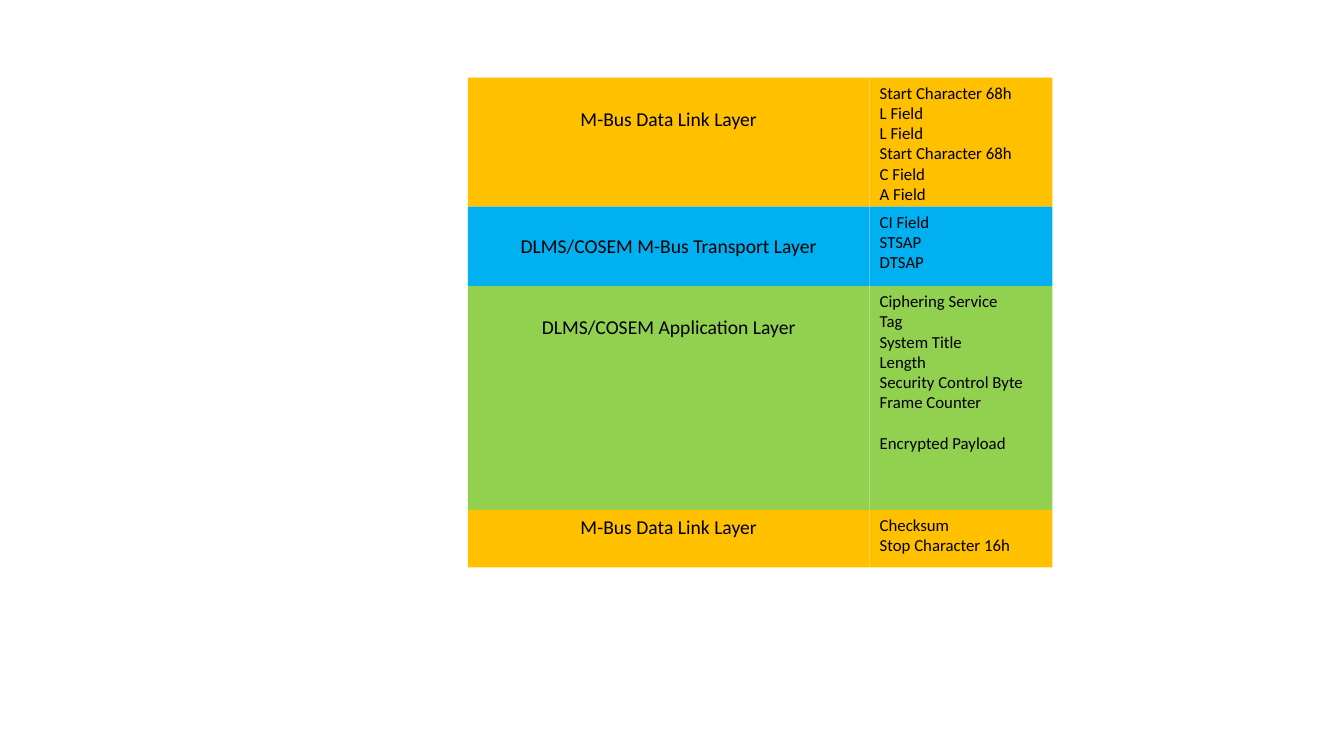
from pptx import Presentation
from pptx.dml.color import RGBColor
from pptx.enum.shapes import MSO_SHAPE
from pptx.enum.text import MSO_ANCHOR, PP_ALIGN
from pptx.util import Cm, Pt

RECT = MSO_SHAPE.RECTANGLE
TOP = MSO_ANCHOR.TOP
LEFT, CENTER = PP_ALIGN.LEFT, PP_ALIGN.CENTER

COLORS = {
    "link": "FFC000",
    "transport": "00B0F0",
    "application": "92D050",
    "text": "000000",
}

# Column positions and widths, in cm
LAYER_X, LAYER_W = 11.79, 10.13
FIELD_X, FIELD_W = LAYER_X + LAYER_W, 4.6
FRAME_TOP = 1.96
PAD, LINE_H = 0.25, 0.51
GAP = 14.6  # one empty 12 pt line, in points

# Colour, layer name, height (cm), text inset (cm), field box width (cm),
# groups of fields
LAYERS = [
    ("link", "M-Bus Data Link Layer", 3.25, 0.73, 4.19,
     [["Start Character 68h", "L Field", "L Field",
       "Start Character 68h", "C Field", "A Field"]]),
    ("transport", "DLMS/COSEM M-Bus Transport Layer", 2.0, 0.68, 3.45,
     [["CI Field", "STSAP", "DTSAP"]]),
    ("application", "DLMS/COSEM Application Layer", 5.64, 0.73, 4.19,
     [["Ciphering Service", "Tag", "System Title", "Length",
       "Security Control Byte", "Frame Counter"],
      ["Encrypted Payload"]]),
    ("link", "M-Bus Data Link Layer", 1.45, 0.13, 4.19,
     [["Checksum", "Stop Character 16h"]]),
]


class Deck:
    def __init__(self, font):
        self.font = font
        self.prs = Presentation()
        self.prs.slide_width, self.prs.slide_height = Cm(33.87), Cm(19.05)
        self.s = self.prs.slides.add_slide(self.prs.slide_layouts[6])

    def style(self, p, text, size, align):
        p.text = text
        p.alignment = align
        p.font.name = self.font
        p.font.size = Pt(size)
        p.font.color.rgb = RGBColor.from_string(COLORS["text"])

    def block(self, x, y, w, h, color):
        sp = self.s.shapes.add_shape(RECT, Cm(x), Cm(y), Cm(w), Cm(h))
        sp.shadow.inherit = False
        sp.fill.solid()
        sp.fill.fore_color.rgb = RGBColor.from_string(COLORS[color])
        sp.line.fill.background()
        return sp

    def label(self, sp, text, inset):
        tf = sp.text_frame
        tf.word_wrap = True
        tf.vertical_anchor = TOP
        tf.margin_top = Cm(inset)
        self.style(tf.paragraphs[0], text, 14, CENTER)

    def field_list(self, x, y, w, groups):
        """Stack the fields, with one empty line's height between groups."""
        lines = sum(map(len, groups)) + len(groups) - 1
        sp = self.s.shapes.add_textbox(Cm(x), Cm(y), Cm(w), Cm(PAD + lines * LINE_H))
        tf = sp.text_frame
        tf.word_wrap = True
        p = tf.paragraphs[0]
        for g, fields in enumerate(groups):
            for i, field in enumerate(fields):
                if g or i:
                    p = tf.add_paragraph()
                self.style(p, field, 12, LEFT)
                if g and i == 0:
                    p.space_before = Pt(GAP)


def main():
    deck = Deck("Calibri")
    y = FRAME_TOP
    for color, name, h, inset, list_w, groups in LAYERS:
        deck.label(deck.block(LAYER_X, y, LAYER_W, h, color), name, inset)
        deck.block(FIELD_X, y, FIELD_W, h, color)
        deck.field_list(FIELD_X, y, list_w, groups)
        y += h
    deck.prs.save("out.pptx")


if __name__ == "__main__":
    main()
